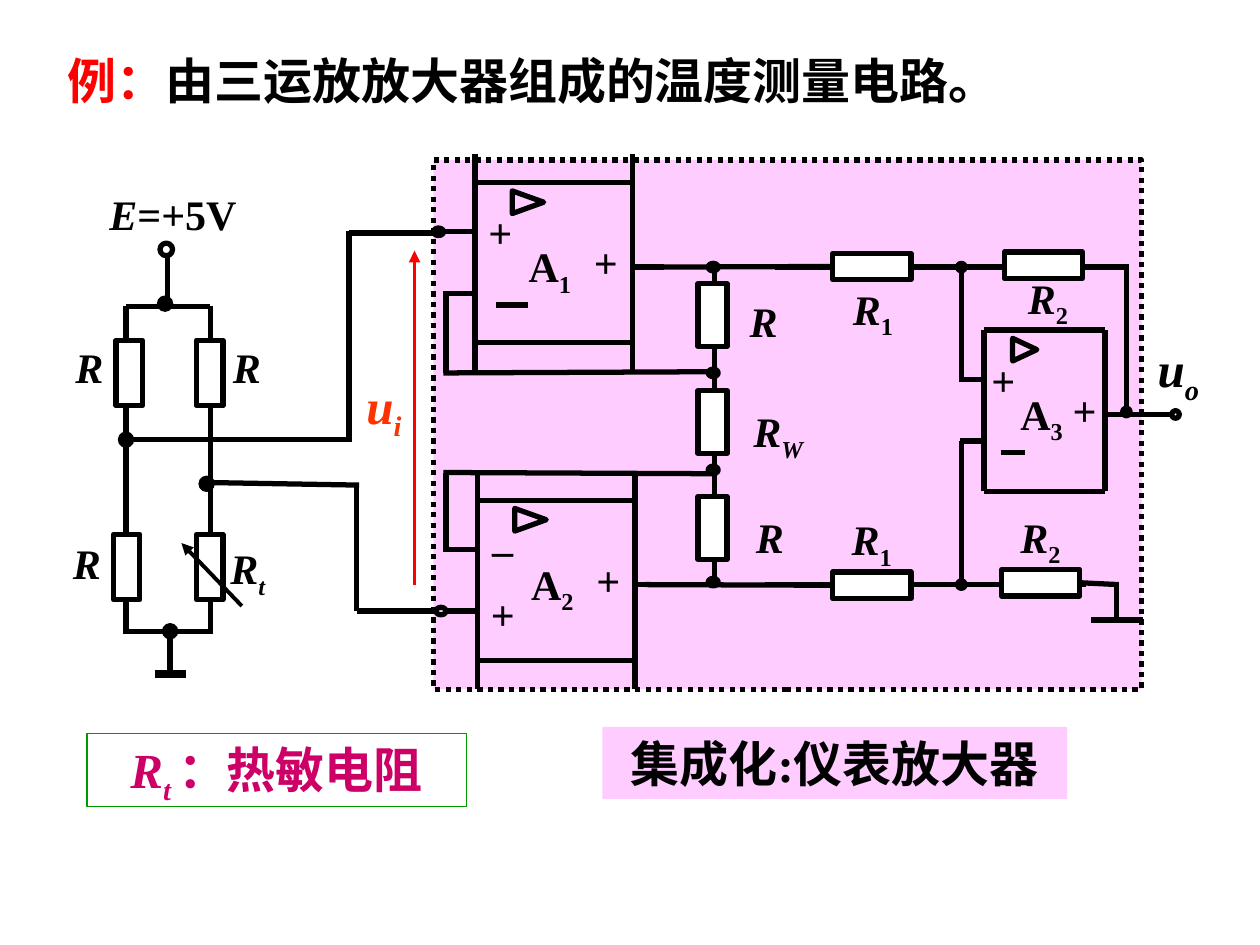
from lxml import etree
from pptx import Presentation
from pptx.dml.color import RGBColor
from pptx.enum.dml import MSO_LINE
from pptx.enum.shapes import MSO_CONNECTOR, MSO_SHAPE
from pptx.enum.text import MSO_ANCHOR, MSO_AUTO_SIZE, PP_ALIGN
from pptx.oxml.ns import qn
from pptx.util import Cm, Pt

RECTANGLE, OVAL, TRIANGLE = MSO_SHAPE.RECTANGLE, MSO_SHAPE.OVAL, MSO_SHAPE.FLOWCHART_EXTRACT
STRAIGHT, DOTTED = MSO_CONNECTOR.STRAIGHT, MSO_LINE.ROUND_DOT
LEFT, CENTER = PP_ALIGN.LEFT, PP_ALIGN.CENTER
TOP, MIDDLE = MSO_ANCHOR.TOP, MSO_ANCHOR.MIDDLE
LEFT_SIDE, RIGHT_SIDE = 1, 3
UNIT = 2.54  # centimetres in one unit of the layout below

THEME = {
    "font": "Times New Roman", "label": 24, "heading": 28,
    "black": "000000", "white": "FFFFFF", "pink": "FFCCFF", "red": "FF0000",
    "signal": "FF3300", "magenta": "CC0066", "green": "009900",
    "wire": 3, "arrow": 2.25, "ground": 4.5, "thin": 0.75,
}

# Text runs are (text, style): i = italic, s = subscript
R, R_1, R_2 = [("R", "i")], [("R", "i"), ("1", "s")], [("R", "i"), ("2", "s")]
# left, top, width, height, runs, format
LABELS = [
    (9.09, 2.64, 0.6, 0.57, [("u", "i"), ("o", "is")], {"size": "heading"}),
    (2.81, 2.93, 0.67, 0.57, [("u", "i"), ("i", "is")], {"size": "heading", "color": "signal"}),
    (6.66, 4.03, 0.71, 0.5, R_1, {}),
    (6.67, 2.2, 0.63, 0.5, R_1, {}),
    (8, 4.01, 0.8, 0.5, R_2, {}),
    (8.06, 2.11, 0.71, 0.5, R_2, {}),
    (5.85, 2.3, 0.69, 0.5, R, {}),
    (5.88, 3.17, 0.69, 0.5, [("R", "i"), ("W", "is")], {}),
    (5.9, 4.01, 0.69, 0.5, R, {}),
    (0.77, 1.45, 1.27, 0.5, [("E", "i"), ("=+5V", "")], {}),
    (0.5, 2.66, 0.58, 0.5, R, {}),
    (1.75, 2.66, 0.58, 0.5, R, {}),
    (0.48, 4.22, 0.58, 0.5, R, {}),
    (1.73, 4.26, 0.58, 0.5, [("R", "i"), ("t", "is")], {}),
]

# name, left, top, width, height, overhang of the sides, minus sign as text below/above
AMPLIFIERS = [
    ("1", 3.77, 1.45, 1.25, 1.27, 0.23, False),
    ("2", 3.79, 3.97, 1.25, 1.27, 0.23, True),
    ("3", 7.81, 2.62, 0.96, 1.28, 0, False),
]

WIRES = [  # x and y of start, x and y of end
    # difference stage
    (6.15, 2.12, 8.96, 2.12), (6.07, 4.64, 8.62, 4.64),
    (7.63, 3.5, 7.63, 4.63), (7.63, 2.12, 7.63, 3.03),
    (8.94, 2.12, 8.94, 3.27), (8.86, 3.29, 9.31, 3.29),
    (8.86, 4.63, 8.86, 4.93), (8.66, 4.92, 9.07, 4.92),
    # input stage feedback
    (5.67, 3.49, 5.67, 2.11), (5.67, 4.63, 5.67, 3.24),
    (3.54, 2.33, 3.54, 2.96), (3.52, 2.96, 5.69, 2.95),
    (3.54, 4.38, 3.54, 3.75), (3.52, 3.75, 5.69, 3.76),
    # bridge outputs
    (0.98, 3.49, 2.79, 3.49), (2.77, 3.51, 2.77, 1.83), (2.77, 1.85, 3.5, 1.85),
    (1.67, 3.83, 2.85, 3.85), (2.83, 3.85, 2.83, 4.85), (2.83, 4.85, 3.46, 4.85),
    # bridge
    (1.67, 2.43, 1.67, 5.03), (1, 2.43, 1, 5.03),
    (1.02, 5.01, 1.67, 5.01), (1, 2.43, 1.67, 2.43),
    (1.35, 5.03, 1.35, 5.35), (1.33, 2.41, 1.33, 2.01),
]

RESISTOR_GROUPS = [  # width, height, {name: (left, top)}
    (0.62, 0.21, {"upper R1": (6.61, 2.01), "lower R1": (6.61, 4.54),
                  "upper R2": (7.97, 2), "lower R2": (7.95, 4.52)}),
    (0.23, 0.5, {"gain top": (5.54, 2.25), "gain middle": (5.54, 3.1),
                 "gain bottom": (5.54, 3.94)}),
    (0.21, 0.52, {"bridge 1": (0.92, 2.7), "bridge 2": (1.56, 2.7),
                  "bridge 3": (0.9, 4.24), "thermistor": (1.56, 4.24)}),
]
LEADS = [  # resistor, side, free end
    ("upper R1", LEFT_SIDE, 5.15, 2.12),
    ("lower R1", LEFT_SIDE, 5.12, 4.64),
    ("lower R2", RIGHT_SIDE, 8.88, 4.64),
]

NODE_GROUPS = [  # width, height, fill, line width, corners
    (0.06, 0.06, "black", "wire", [(7.6, 2.09), (8.91, 3.24), (7.6, 4.61)]),
    (0.08, 0.06, "black", "wire", [(5.62, 2.09), (5.62, 3.7), (5.62, 2.93), (5.62, 4.59)]),
    (0.12, 0.12, "black", "thin", [(1.25, 2.35), (0.94, 3.43), (1.29, 4.95), (1.58, 3.78)]),
    (0.08, 0.06, None, "wire", [(3.46, 4.82), (3.44, 1.81)]),
    (0.06, 0.06, None, "wire", [(9.3, 3.26)]),
    (0.1, 0.1, "white", "wire", [(1.27, 1.93)]),
]


def scaled(*values):
    return [Cm(value * UNIT) for value in values]


def theme_color(name):
    return RGBColor.from_string(THEME[name])


def write_text(shape, runs, size="label", color="black", align=LEFT, anchor=TOP, wrap=True):
    """Fill a shape with one paragraph; a run may name its own colour as a third item."""
    frame = shape.text_frame
    frame.word_wrap = wrap
    frame.vertical_anchor = anchor
    frame.auto_size = MSO_AUTO_SIZE.SHAPE_TO_FIT_TEXT
    paragraph = frame.paragraphs[0]
    paragraph.alignment = align
    for text, style, *own_color in runs:
        run = paragraph.add_run()
        run.text = text
        run.font.name = THEME["font"]
        run.font.size = Pt(THEME[size])
        run.font.bold = True
        run.font.italic = "i" in style
        run.font.color.rgb = theme_color(own_color[0] if own_color else color)
        if "s" in style:
            run._r.get_or_add_rPr().set("baseline", "-25000")


def add_label(slide, left, top, width, height, runs, **text_format):
    write_text(slide.shapes.add_textbox(*scaled(left, top, width, height)), runs, **text_format)


def add_centered_label(slide, x, y, runs, width=0.39):
    add_label(slide, x - width / 2, y - 0.25, width, 0.5, runs,
              align=CENTER, anchor=MIDDLE, wrap=False)


def add_outline(slide, kind, left, top, width, height, fill=None, line="black", weight="wire"):
    shape = slide.shapes.add_shape(kind, *scaled(left, top, width, height))
    shape.shadow.inherit = False
    if fill:
        shape.fill.solid()
        shape.fill.fore_color.rgb = theme_color(fill)
    else:
        shape.fill.background()
    if line:
        shape.line.color.rgb = theme_color(line)
        shape.line.width = Pt(THEME[weight])
    else:
        shape.line.fill.background()
    return shape


def add_wire(slide, x1, y1, x2, y2, color="black", weight="wire", arrow=False):
    wire = slide.shapes.add_connector(STRAIGHT, *scaled(x1, y1, x2, y2))
    wire.line.color.rgb = theme_color(color)
    wire.line.width = Pt(THEME[weight])
    if arrow:
        etree.SubElement(wire.line._get_or_add_ln(), qn("a:tailEnd"), type="triangle")
    etree.SubElement(wire._element.spPr, qn("a:effectLst"))
    return wire


def add_amplifier(slide, name, left, top, width, height, overhang, inverted):
    """Draw an op-amp; an inverted one has its minus input above its plus input."""
    right, bottom, lead = left + width, top + height, 0.2 * width
    for x in (left, right):
        add_wire(slide, x, bottom + overhang, x, top - overhang)
    for y in (top, bottom):
        add_wire(slide, left, y, right, y)
    for x, y in ((left - lead, 0.39), (left - lead, 0.88), (right, 0.67)):
        add_wire(slide, x, top + y, x + lead, top + y)
    triangle = add_outline(slide, TRIANGLE, left + 0.336 * width - 0.09,
                           top + 0.155 - lead / 2, 0.18, lead)
    triangle.rotation = 90
    input_x = left + 0.16 * width
    if inverted:
        add_centered_label(slide, input_x, top + 0.27, [("_", "")])
    else:
        minus_x = left + 0.136 * width
        add_wire(slide, minus_x, top + 0.97, minus_x + lead, top + 0.97)
    add_centered_label(slide, input_x, top + (0.9 if inverted else 0.39), [("+", "")])
    add_centered_label(slide, left + 0.83 * width, top + 0.63, [("+", "")])
    add_centered_label(slide, left + 0.475 * width, top + 0.69, [("A", ""), (name, "s")], 0.55)


def main():
    presentation = Presentation()
    presentation.slide_width, presentation.slide_height = scaled(10, 7.5)
    slide = presentation.slides.add_slide(presentation.slide_layouts[6])

    module = add_outline(slide, RECTANGLE, 3.44, 1.27, 5.62, 4.2, fill="pink")
    module.line.dash_style = DOTTED
    add_label(slide, 0.44, 0.35, 8.83, 0.57,
              [("例：", "", "red"), ("由三运放放大器组成的温度测量电路。", "")], size="heading")

    for amplifier in AMPLIFIERS:
        add_amplifier(slide, *amplifier)
    for wire in WIRES:
        add_wire(slide, *wire)
    add_wire(slide, 1.23, 5.35, 1.48, 5.35, weight="ground")

    resistors = {}
    for width, height, places in RESISTOR_GROUPS:
        for name, corner in places.items():
            resistors[name] = add_outline(slide, RECTANGLE, *corner, width, height, fill="white")
    for name, side, x, y in LEADS:
        add_wire(slide, x, y, x, y).end_connect(resistors[name], side)
    for width, height, fill, weight, corners in NODE_GROUPS:
        for corner in corners:
            add_outline(slide, OVAL, *corner, width, height, fill=fill, weight=weight)

    add_wire(slide, 1.92, 4.81, 1.44, 4.31, weight="arrow", arrow=True)
    add_wire(slide, 3.29, 4.64, 3.29, 1.99, color="red", weight="arrow", arrow=True)
    for left, top, width, height, runs, text_format in LABELS:
        add_label(slide, left, top, width, height, runs, **text_format)

    thermistor_note = add_outline(slide, RECTANGLE, 0.69, 5.82, 3.01, 0.58,
                                  line="green", weight="thin")
    write_text(thermistor_note, [("R", "i"), ("t ", "is"), ("：热敏电阻", "")],
               size="heading", color="magenta", align=CENTER)
    module_note = add_outline(slide, RECTANGLE, 4.78, 5.77, 3.69, 0.57, fill="pink", line=None)
    write_text(module_note, [("集成化:仪表放大器", "")], size="heading", align=CENTER)

    presentation.save("out.pptx")


if __name__ == "__main__":
    main()
